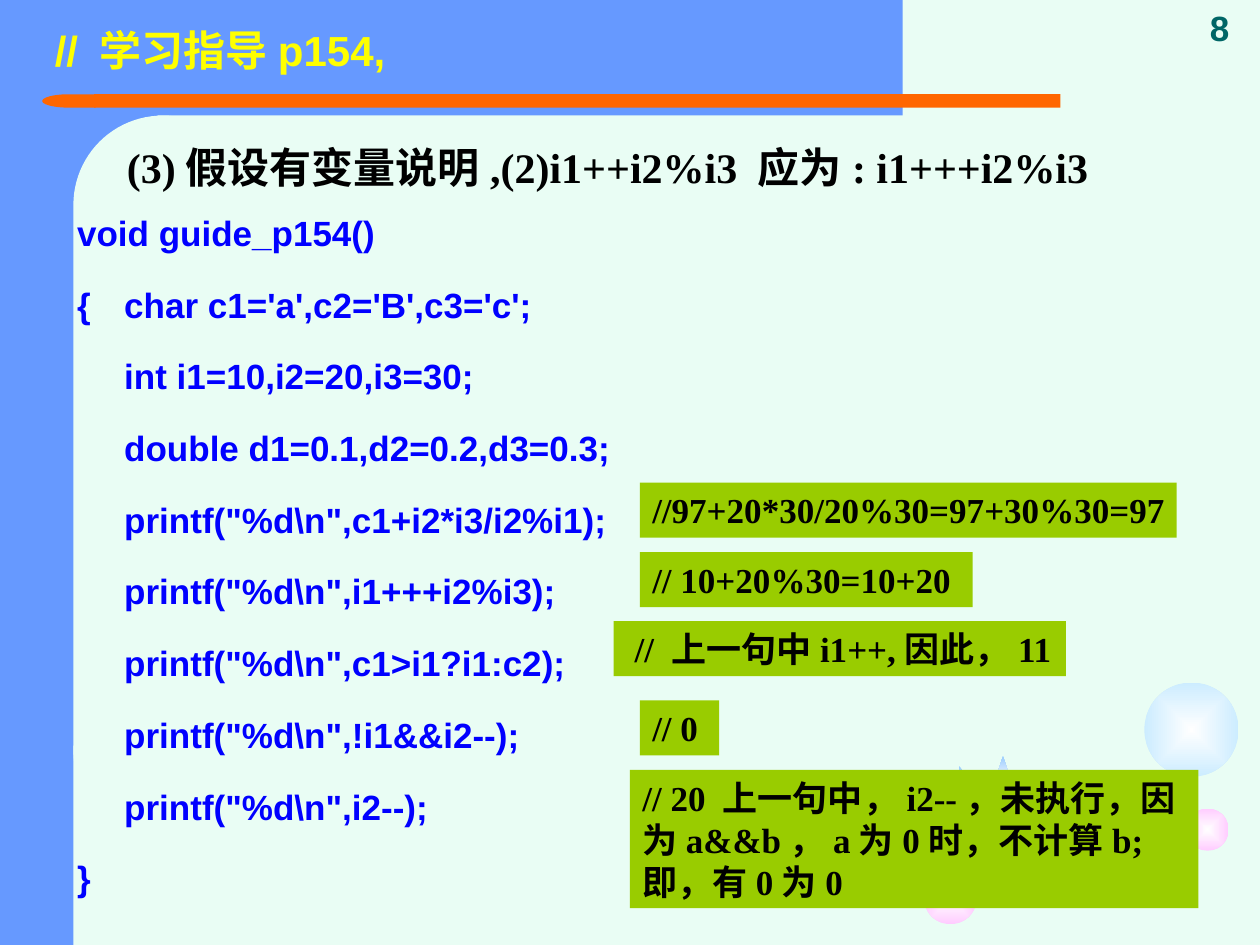
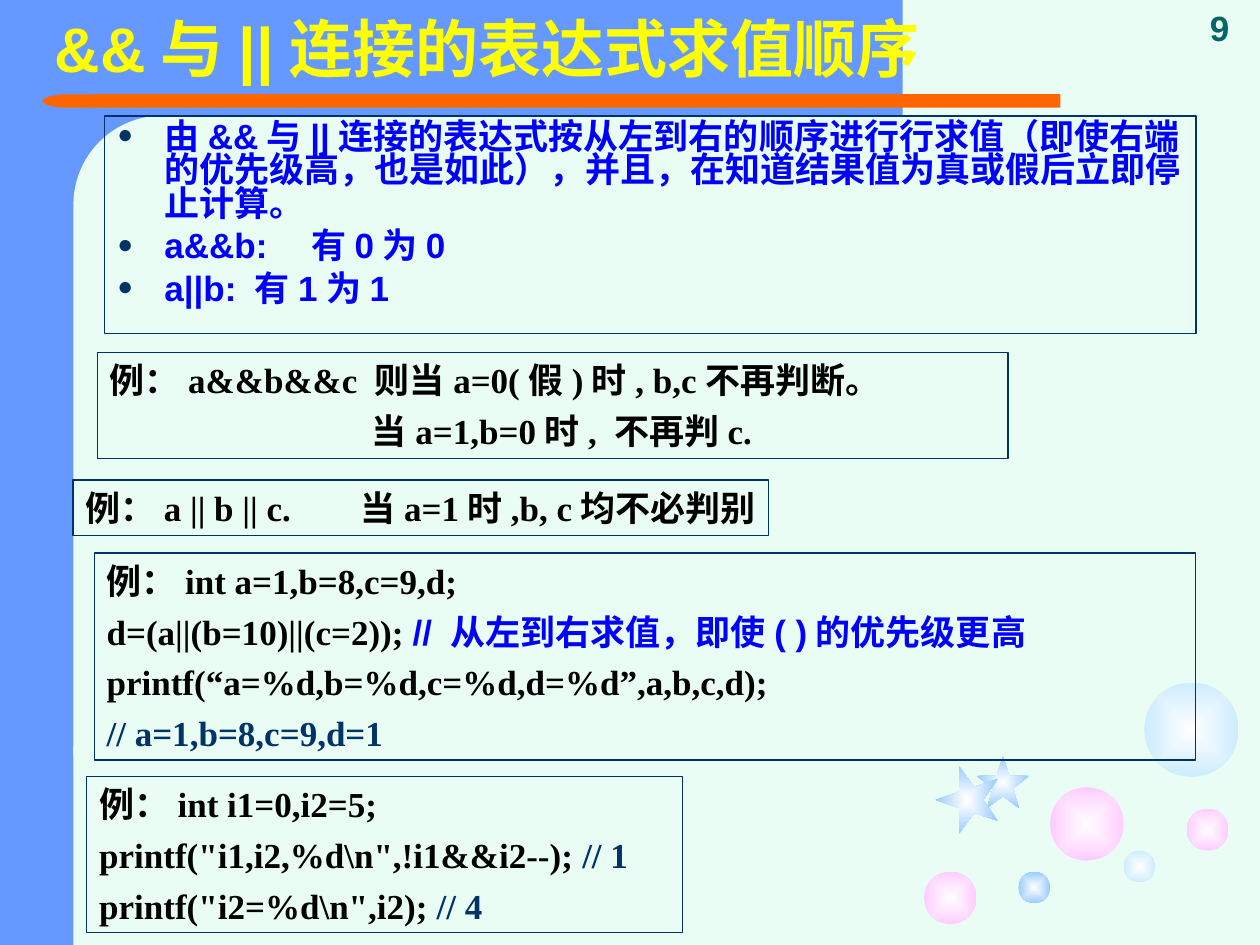
from lxml import etree
from pptx import Presentation
from pptx.dml.color import RGBColor
from pptx.enum import shapes, text
from pptx.oxml import ns
from pptx.util import Cm, Pt

MINT = RGBColor(0xE9, 0xFD, 0xF4)
BLUE = RGBColor(0x66, 0x99, 0xFF)
ORANGE = RGBColor(0xFF, 0x66, 0x00)
GREEN = RGBColor(0x99, 0xCC, 0x00)
NAVY = RGBColor(0x00, 0x33, 0x66)
TEAL = RGBColor(0x00, 0x66, 0x66)
YELLOW = RGBColor(0xFF, 0xFF, 0x00)
INK = RGBColor(0x00, 0x00, 0x00)
CODE_BLUE = RGBColor(0x00, 0x00, 0xFF)
WHITE = RGBColor(0xFF, 0xFF, 0xFF)
PINK = RGBColor(0xFF, 0xCC, 0xFF)
PALE = RGBColor(0xCC, 0xEC, 0xFF)
SKY = RGBColor(0x99, 0xCC, 0xFF)

CODE = {"name": "Arial", "size": Pt(20), "bold": True, "rgb": CODE_BLUE}
NUMBER = CODE | {"rgb": TEAL}
TITLE = CODE | {"rgb": YELLOW}
NOTE = CODE | {"name": "Times New Roman", "rgb": INK}
HEADING = NOTE | {"size": Pt(24)}
RESULT = NOTE | {"rgb": NAVY}

KIND = shapes.MSO_SHAPE
TOP, MIDDLE, BOTTOM = (text.MSO_ANCHOR.TOP, text.MSO_ANCHOR.MIDDLE,
                       text.MSO_ANCHOR.BOTTOM)
LEFT, CENTER = text.PP_ALIGN.LEFT, text.PP_ALIGN.CENTER
ONE_LINE = 1.11  # height in cm of a note with a single line

# kind, place in cm, colour, rotation
BANDS = [
    (KIND.RECTANGLE, (0, 0, 3.18, 19.05), BLUE, 0),
    (KIND.RECTANGLE, (1.27, 0, 16.93, 2.33), BLUE, 0),
    (KIND.ROUNDED_RECTANGLE, (1.48, 2.33, 3.6, 14.6), MINT, 0),
    (KIND.RECTANGLE, (1.9, 1.9, 19.48, 0.27), ORANGE, 0),
    (KIND.FLOWCHART_DELAY, (0.85, 1.9, 1.08, 0.27), ORANGE, 180),
    (KIND.RECTANGLE, (1.48, 15.03, 3.6, 4.02), MINT, 0),
]
STARS = [
    (KIND.STAR_5_POINT, (19.69, 15.24, 1.06, 1.06), SKY, 0),
    (KIND.STAR_5_POINT, (18.8, 15.49, 1.37, 1.27), SKY, 270),
]
SIDE_BALLS = [
    (KIND.OVAL, (18.63, 17.57, 1.06, 1.06), PINK, 0),
    (KIND.OVAL, (23.92, 16.3, 0.85, 0.85), PINK, 0),
    (KIND.OVAL, (23.07, 13.76, 1.9, 1.9), PALE, 0),
]
INNER_BALLS = [
    (KIND.OVAL, (21.17, 15.87, 1.48, 1.48), PINK, 0),
    (KIND.OVAL, (22.65, 17.15, 0.64, 0.64), PALE, 0),
    (KIND.OVAL, (20.53, 17.57, 0.64, 0.64), SKY, 0),
]

PAGES = [
    {
        "number": "8", "title": "// 学习指导p154,", "title_size": Pt(24),
        "ornaments": SIDE_BALLS + STARS,
        "body_at": (1.3, 3.71, 24, 14.6), "body_spacing": 1.5,
        "bulleted": False,
        "body": [
            "void guide_p154()",
            "{\tchar c1='a',c2='B',c3='c';",
            "\tint i1=10,i2=20,i3=30;",
            "\tdouble d1=0.1,d2=0.2,d3=0.3;",
            '\tprintf("%d\\n",c1+i2*i3/i2%i1);',
            '\tprintf("%d\\n",i1+++i2%i3);',
            '\tprintf("%d\\n",c1>i1?i1:c2);',
            '\tprintf("%d\\n",!i1&&i2--);',
            '\tprintf("%d\\n",i2--);',
            "}",
        ],
        "note_fill": GREEN,
        "notes": [
            ((12.9, 9.73, 10.82, ONE_LINE), ["//97+20*30/20%30=97+30%30=97"]),
            ((12.9, 11.13, 6.71, ONE_LINE), ["// 10+20%30=10+20"]),
            ((12.37, 12.52, 9.12, ONE_LINE), [" // 上一句中i1++,因此，11"]),
            ((12.9, 14.12, 1.6, ONE_LINE), ["// 0"]),
            ((12.7, 15.52, 11.46, 2.79),
             ["// 20 上一句中，i2--，未执行，因为a&&b，a为0时，不计算b;即，有0为0"]),
        ],
    },
    {
        "number": "9", "title": "&&与||连接的表达式求值顺序", "title_size": Pt(36),
        "ornaments": SIDE_BALLS + INNER_BALLS + STARS,
        "body_at": (2.11, 2.34, 22, 4.39), "body_spacing": 0.8,
        "bulleted": True,
        "body": [
            "由&&与||连接的表达式按从左到右的顺序进行行求值（即使右端的优先级高，"
            "也是如此），并且，在知道结果值为真或假后立即停止计算。",
            "a&&b:　有0为0",
            "a||b: 有1为1",
        ],
        "note_fill": None,
        "notes": [
            ((1.96, 7.11, 18.36, 2.13),
             ["例：a&&b&&c 则当a=0(假)时, b,c不再判断。",
              "当a=1,b=0时, 不再判c."]),
            ((1.47, 9.68, 14.02, ONE_LINE),
             ["例：a || b || c.\t当a=1时,b, c均不必判别"]),
            ((1.9, 11.15, 22.2, 4.17),
             ["例：int a=1,b=8,c=9,d;",
              [("d=(a||(b=10)||(c=2)); ", NOTE),
               ("// 从左到右求值，即使( )的优先级更高", CODE)],
              "printf(“a=%d,b=%d,c=%d,d=%d”,a,b,c,d);",
              [("// a=1,b=8,c=9,d=1", RESULT)]]),
            ((1.75, 15.65, 12.01, 3.15),
             ["例：int i1=0,i2=5;",
              [('printf("i1,i2,%d\\n",!i1&&i2--); ', NOTE), ("// 1", RESULT)],
              [('printf("i2=%d\\n",i2); ', NOTE), ("// 4", RESULT)]]),
        ],
    },
]


def add_plain(page, kind, place, fill, rotation=0):
    """Add a preset shape without line or shadow; no fill colour leaves it open."""
    shape = page.shapes.add_shape(kind, *map(Cm, place))
    shape.shadow.inherit = False
    shape.line.fill.background()
    shape.rotation = rotation
    if fill is None:
        shape.fill.background()
    else:
        shape.fill.solid()
        shape.fill.fore_color.rgb = fill
    if kind == KIND.ROUNDED_RECTANGLE:
        shape.adjustments[0] = 0.5
    return shape


def write(box, lines, look, anchor=TOP, **layout):
    """Fill a box; a line is a string or a list of (words, look) pairs."""
    frame = box.text_frame
    settings = {"word_wrap": True, "auto_size": text.MSO_AUTO_SIZE.NONE,
                "vertical_anchor": anchor}
    for name, value in settings.items():
        setattr(frame, name, value)
    for index, line in enumerate(lines):
        para = frame.paragraphs[0] if index == 0 else frame.add_paragraph()
        before = Pt(5) if index else Pt(0)
        for name, value in ({"alignment": LEFT, "space_before": before} | layout).items():
            setattr(para, name, value)
        for words, style in [(line, look)] if isinstance(line, str) else line:
            span = para.add_run()
            span.text = words
            for name, value in style.items():
                if name == "rgb":
                    span.font.color.rgb = value
                else:
                    setattr(span.font, name, value)


deck = Presentation()
deck.slide_width, deck.slide_height = Cm(25.4), Cm(19.05)

for content in PAGES:
    page = deck.slides.add_slide(deck.slide_layouts[1])
    page.background.fill.solid()
    page.background.fill.fore_color.rgb = MINT

    for band in BANDS:
        add_plain(page, *band)
    for kind, place, colour, rotation in content["ornaments"]:
        ornament = add_plain(page, kind, place, colour, rotation)
        ornament.fill.gradient()
        for stop, shade in zip(ornament.fill.gradient_stops, (WHITE, colour)):
            stop.color.rgb = shade
        gradient = ornament.element.spPr.find(ns.qn("a:gradFill"))
        gradient.remove(gradient.find(ns.qn("a:lin")))
        glow = etree.SubElement(gradient, ns.qn("a:path"), path="rect")
        etree.SubElement(glow, ns.qn("a:fillToRect"),
                         dict.fromkeys("ltrb", "50000"))

    number = page.shapes.add_textbox(Cm(23.77), Cm(0), Cm(1.63), Cm(1.11))
    write(number, [content["number"]], NUMBER, BOTTOM, alignment=CENTER)

    title, body = page.shapes.title, page.placeholders[1]
    for box, place in ((body, content["body_at"]), (title, (0.85, 0, 21.38, 2.12))):
        box.left, box.top, box.width, box.height = map(Cm, place)
        box.element.getparent().append(box.element)  # bring in front of the bands
    write(title, [content["title"]], TITLE | {"size": content["title_size"]},
          MIDDLE, line_spacing=0.9)
    write(body, content["body"], CODE, line_spacing=content["body_spacing"])
    for para in body.text_frame.paragraphs:
        props = para._p.get_or_add_pPr()
        props.set("marL", str(Cm(0.95)))
        props.set("indent", str(Cm(-0.95)))
        if content["bulleted"]:
            bullet = etree.SubElement(props, ns.qn("a:buClr"))
            etree.SubElement(bullet, ns.qn("a:srgbClr"), val=str(NAVY))
            etree.SubElement(props, ns.qn("a:buSzPct"), val="75000")
            etree.SubElement(props, ns.qn("a:buChar"), char="●")
        else:
            etree.SubElement(props, ns.qn("a:buNone"))

    notes = []
    for place, lines in content["notes"]:
        note = add_plain(page, KIND.RECTANGLE, place, content["note_fill"])
        if place[3] == ONE_LINE:  # tight boxes must not wrap
            note.text_frame.margin_right = 0
        write(note, lines, NOTE)
        notes.append(note)

    if content["bulleted"]:
        for box in [body, *notes]:
            box.line.color.rgb = NAVY
            box.line.width = Pt(0.75)
        second_case = notes[0].text_frame.paragraphs[1]
        second_case._p.get_or_add_pPr().set("marL", str(Cm(5.29)))
        or_case = notes[1].text_frame.paragraphs[0]
        tabs = etree.SubElement(or_case._p.get_or_add_pPr(), ns.qn("a:tabLst"))
        etree.SubElement(tabs, ns.qn("a:tab"), pos=str(Cm(5.55)), algn="l")
    else:
        heading = page.shapes.add_textbox(Cm(2.31), Cm(2.72), Cm(21.21), Cm(1.27))
        write(heading, ["(3)假设有变量说明,(2)i1++i2%i3 应为: i1+++i2%i3"], HEADING)

deck.save("out.pptx")
